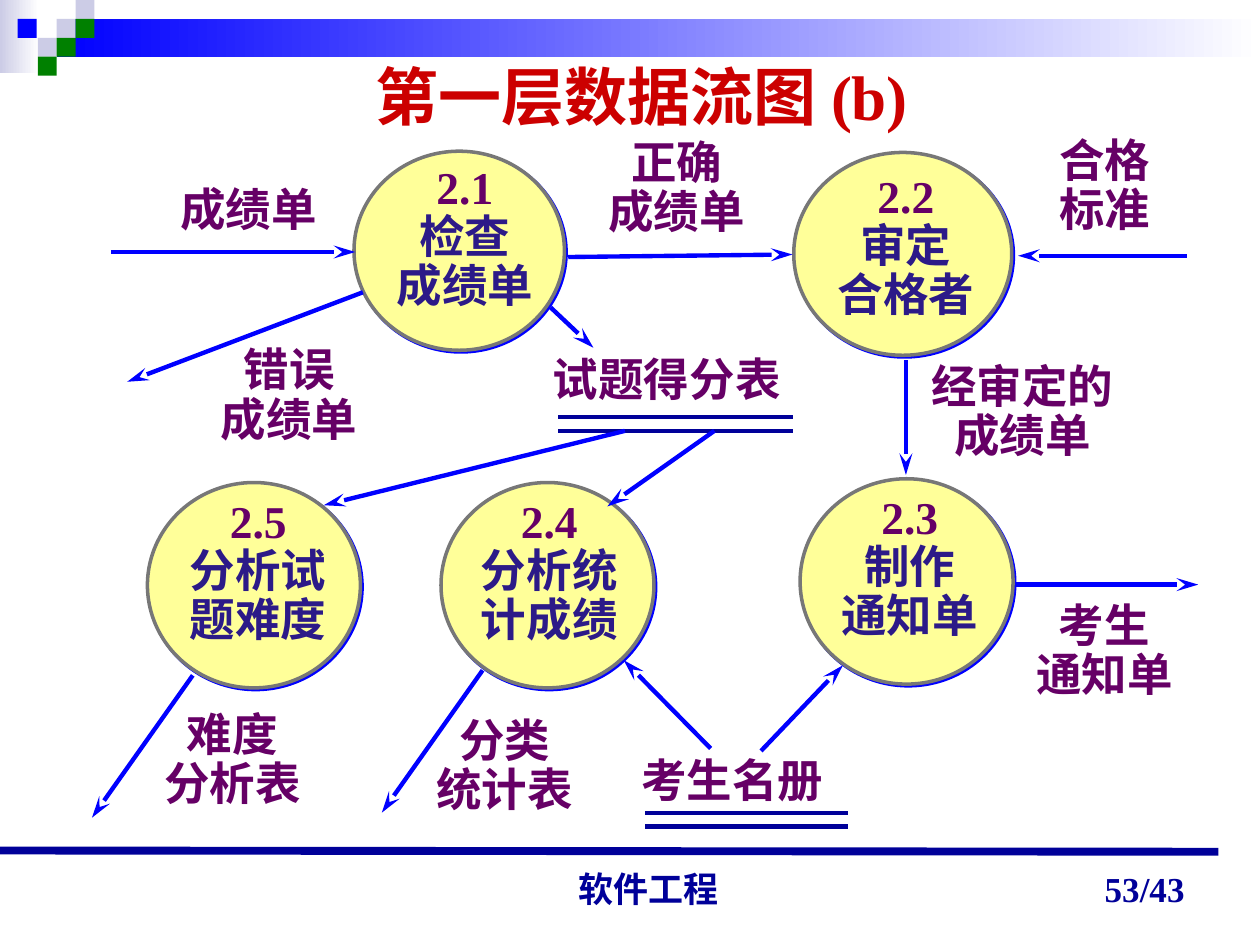
from dataclasses import dataclass
from typing import NamedTuple

from lxml.etree import SubElement
from pptx import Presentation
from pptx.dml.color import RGBColor
from pptx.enum.shapes import MSO_CONNECTOR as Connector, MSO_SHAPE as Shape
from pptx.enum.text import MSO_ANCHOR as Anchor, PP_ALIGN as Align
from pptx.oxml.ns import qn
from pptx.util import Emu, Pt

PX = 9144  # one px is a hundredth of an inch


@dataclass(frozen=True)
class Theme:
    blue: str = "0000FF"
    navy: str = "000099"
    lilac: str = "CCCCE6"
    green: str = "008000"
    white: str = "FFFFFF"
    red: str = "CC0000"
    purple: str = "660066"
    indigo: str = "2C1A88"
    yellow: str = "FFFF99"
    grey: str = "777777"
    serif: str = "Times New Roman"
    sans: str = "Arial"
    title_size: int = 36
    label_size: int = 26
    footer_size: int = 20
    rule_width: float = 4.5
    flow_width: float = 2.5
    outline_width: float = 2


THEME = Theme()


class Area(NamedTuple):
    left: int
    top: int
    width: int
    height: int


class Segment(NamedTuple):
    x1: int
    y1: int
    x2: int
    y2: int


class Process(NamedTuple):
    circle: Area
    caption: Area
    lines: tuple[str, ...]


class Label(NamedTuple):
    area: Area
    lines: tuple[str, ...]
    align: Align = Align.CENTER
    wrap: bool = True


class Square(NamedTuple):
    left: int
    top: int
    color: str


PROCESSES = (
    Process(Area(281, 120, 167, 158), Area(294, 126, 150, 127), ("2.1", "检查", "成绩单")),
    Process(Area(630, 121, 173, 161), Area(643, 133, 152, 127), ("2.2", "审定", "合格者")),
    Process(Area(635, 380, 169, 163), Area(646, 388, 152, 127), ("2.3", "制作", "通知单")),
    Process(Area(350, 383, 169, 163), Area(364, 391, 144, 127), ("2.4", "分析统", "计成绩")),
    Process(Area(117, 383, 169, 163), Area(130, 391, 150, 127), ("2.5", "分析试", "题难度")),
)

LABELS = (
    Label(Area(106, 139, 183, 53), ("成绩单",)),
    Label(Area(453, 106, 168, 88), ("正确", "成绩单")),
    Label(Area(831, 105, 106, 88), ("合格", "标准"), Align.LEFT),
    Label(Area(152, 271, 155, 88), ("错误", "成绩单")),
    Label(Area(429, 274, 228, 53), ("试题得分表",), Align.LEFT),
    Label(Area(704, 284, 215, 88), ("经审定的", "成绩单")),
    Label(Area(796, 474, 161, 88), ("考生", "通知单")),
    Label(Area(108, 560, 153, 88), ("难度", "分析表")),
    Label(Area(324, 565, 153, 88), ("分类", "统计表")),
    Label(Area(499, 592, 165, 53), ("考生名册",), Align.LEFT, wrap=False),
)

FLOWS = (
    Segment(88, 200, 282, 200),
    Segment(451, 204, 629, 202),
    Segment(942, 203, 808, 203),
    Segment(288, 232, 101, 303),
    Segment(437, 244, 471, 276),
    Segment(719, 286, 719, 377),
    Segment(496, 342, 257, 401),
    Segment(567, 342, 482, 402),
    Segment(806, 464, 951, 464),
    Segment(153, 536, 73, 649),
    Segment(383, 532, 303, 645),
    Segment(564, 594, 495, 524),
    Segment(604, 596, 669, 528),
)

STORES = (
    Segment(443, 331, 629, 331),
    Segment(443, 342, 629, 342),
    Segment(512, 645, 673, 645),
    Segment(512, 656, 673, 656),
)

SQUARES = (
    Square(45, 15, THEME.lilac),
    Square(60, 0, THEME.lilac),
    Square(60, 15, THEME.green),
    Square(30, 30, THEME.lilac),
    Square(14, 15, THEME.blue),
    Square(45, 30, THEME.green),
    Square(30, 45, THEME.green),
)


def rgb(color: str) -> RGBColor:
    return RGBColor.from_string(color)


def emu(lengths: tuple[int, ...]) -> list[Emu]:
    return [Emu(length * PX) for length in lengths]


def add_bar(page, area: Area, start: str, end: str | None = None) -> None:
    """Add a borderless rectangle, fading left to right if an end colour is given."""
    bar = page.shapes.add_shape(Shape.RECTANGLE, *emu(area))
    bar.shadow.inherit = False
    bar.line.fill.background()
    if end is None:
        bar.fill.solid()
        bar.fill.fore_color.rgb = rgb(start)
        return
    bar.fill.gradient()
    bar.fill.gradient_angle = 0
    for stop, color in zip(bar.fill.gradient_stops, (start, end)):
        stop.color.rgb = rgb(color)


def add_line(page, segment: Segment, color: str, width: float, arrow: bool = False) -> None:
    line = page.shapes.add_connector(Connector.STRAIGHT, *emu(segment))
    line.line.color.rgb = rgb(color)
    line.line.width = Pt(width)
    if arrow:
        SubElement(line.line._get_or_add_ln(), qn("a:tailEnd"), type="stealth", w="med", len="lg")
    SubElement(line._element.spPr, qn("a:effectLst"))


def add_text(page, area: Area, lines: tuple[str, ...], colors: tuple[str, ...], size: int,
             font: str = THEME.serif, align: Align = Align.CENTER,
             anchor: Anchor = Anchor.TOP, wrap: bool = True) -> None:
    """Add bold text; lines past the last colour reuse it."""
    frame = page.shapes.add_textbox(*emu(area)).text_frame
    frame.word_wrap = wrap
    frame.vertical_anchor = anchor
    for index, line in enumerate(lines):
        para = frame.add_paragraph() if index else frame.paragraphs[0]
        para.text = line
        para.alignment = align
        if len(lines) > 1:
            para.line_spacing = 0.9
        para.font.name = font
        para.font.size = Pt(size)
        para.font.bold = True
        para.font.color.rgb = rgb(colors[min(index, len(colors) - 1)])


def add_process(page, process: Process) -> None:
    circle = page.shapes.add_shape(Shape.OVAL, *emu(process.circle))
    circle.shadow.inherit = False
    circle.fill.solid()
    circle.fill.fore_color.rgb = rgb(THEME.yellow)
    circle.line.color.rgb = rgb(THEME.grey)
    circle.line.width = Pt(THEME.outline_width)
    effects = circle._element.spPr.find(qn("a:effectLst"))
    shadow = SubElement(effects, qn("a:outerShdw"), blurRad="0", dist=str(Pt(1.4)),
                        dir="2700000", algn="ctr", rotWithShape="0")
    SubElement(shadow, qn("a:srgbClr"), val=THEME.blue)
    add_text(page, process.caption, process.lines, (THEME.purple, THEME.indigo), THEME.label_size)


def add_frame(page) -> None:
    """Add the banner, the title and the footer."""
    add_bar(page, Area(0, 0, 31, 58), THEME.lilac, THEME.white)
    add_bar(page, Area(45, 15, 955, 30), THEME.blue, THEME.white)
    for square in SQUARES:
        add_bar(page, Area(square.left, square.top, 15, 15), square.color)
    add_line(page, Segment(0, 675, 967, 676), THEME.navy, THEME.rule_width)
    add_text(page, Area(356, 686, 317, 41), ("软件工程",), (THEME.navy,), THEME.footer_size,
             font=THEME.sans, anchor=Anchor.BOTTOM)
    add_text(page, Area(717, 677, 233, 50), ("53/43",), (THEME.navy,), THEME.footer_size,
             align=Align.RIGHT, anchor=Anchor.BOTTOM)
    add_text(page, Area(273, 41, 473, 70), ("第一层数据流图 (b)",), (THEME.red,), THEME.title_size)


def main() -> None:
    deck = Presentation()
    deck.slide_width, deck.slide_height = emu((1000, 750))
    page = deck.slides.add_slide(deck.slide_layouts[6])
    add_frame(page)
    for process in PROCESSES:
        add_process(page, process)
    for store in STORES:
        add_line(page, store, THEME.navy, THEME.flow_width)
    for flow in FLOWS:
        add_line(page, flow, THEME.blue, THEME.flow_width, arrow=True)
    for label in LABELS:
        add_text(page, label.area, label.lines, (THEME.purple,), THEME.label_size,
                 align=label.align, wrap=label.wrap)
    deck.save("out.pptx")


if __name__ == "__main__":
    main()
